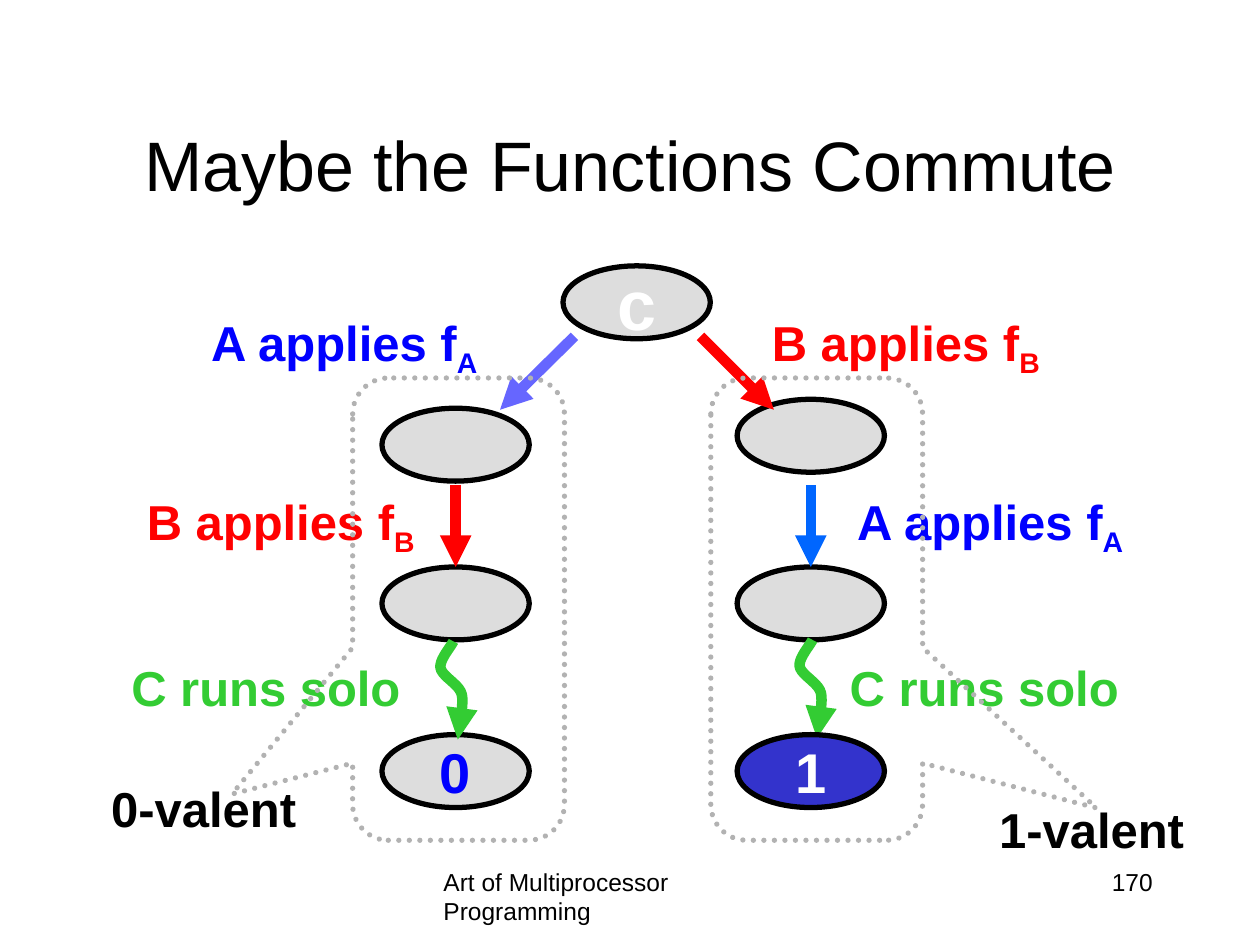
"""Build a slide comparing two commuting schedules of function applications."""
from dataclasses import dataclass

import pptx
import pptx.dml.color
import pptx.enum.dml
import pptx.enum.shapes
import pptx.enum.text
import pptx.oxml
import pptx.util
from pptx.oxml.ns import qn

Cm = pptx.util.Cm
Pt = pptx.util.Pt
ALIGN = pptx.enum.text.PP_ALIGN
ANCHOR = pptx.enum.text.MSO_ANCHOR
SHAPE = pptx.enum.shapes.MSO_SHAPE

BLACK, WHITE, GREY, DOTS = "000000", "FFFFFF", "DDDDDD", "B2B2B2"
BLUE, RED, GREEN = "0000FF", "FF0000", "33CC33"
NODE_WIDTH, NODE_HEIGHT = 2.97, 1.47
LEFT_X, RIGHT_X = 7.7, 14.86
MIDDLE_Y, LEAF_Y = 11.43, 14.81
SQUIGGLE = (
    ((0, 0), (-0.04, 0.1), (-0.28, 0.36), (-0.26, 0.53)),
    ((-0.26, 0.53), (-0.23, 0.71), (0.12, 0.86), (0.17, 1.07)),
    ((0.17, 1.07), (0.22, 1.27), (0.1, 1.8), (0.09, 1.98)),
)
CURVE_STEPS = 10


@dataclass(frozen=True)
class Node:
    left: float
    top: float
    text: str = ""
    size: int = 32
    ink: str = WHITE
    fill: str = GREY


@dataclass(frozen=True)
class Label:
    left: float
    top: float
    text: str
    color: str
    subscript: str = ""
    width: float = 7.52


@dataclass(frozen=True)
class Callout:
    left: float
    tip_x: float
    tip_y: float


ROOT = Node(11.35, 5.36, "c", 40)
LEFT_FIRST, RIGHT_FIRST = Node(LEFT_X, 8.23), Node(RIGHT_X, 8.05)
LEFT_SECOND, RIGHT_SECOND = Node(LEFT_X, MIDDLE_Y), Node(RIGHT_X, MIDDLE_Y)
LEAVES = (
    Node(LEFT_X, LEAF_Y, "0", ink=BLUE),
    Node(RIGHT_X, LEAF_Y, "1", fill="3333CC"),
)
LABELS = (
    Label(3.18, 6.17, "A applies f", BLUE, "A"),
    Label(14.5, 6.17, "B applies f", RED, "B"),
    Label(1.9, 9.78, "B applies f", RED, "B"),
    Label(16.2, 9.78, "A applies f", BLUE, "A"),
    Label(1.6, 13.13, "C runs solo", GREEN),
    Label(16.08, 13.13, "C runs solo", GREEN),
    Label(1.12, 15.57, "0-valent", BLACK, width=5.97),
    Label(19.02, 16, "1-valent", BLACK, width=5.97),
)
CALLOUTS = (Callout(7.11, -1.07, 0.4), Callout(14.33, 1.32, 0.43))


def paint(target, color: str) -> None:
    """Give a font or a line a solid colour."""
    target.fill.solid()
    target.fill.fore_color.rgb = pptx.dml.color.RGBColor.from_string(color)


def write(frame, text: str, *, size: float, color: str = BLACK, bold: bool = False,
          align=ALIGN.LEFT, anchor=ANCHOR.TOP, wrap: bool = True, subscript: str = "") -> None:
    """Fill a text frame with one formatted paragraph."""
    frame.word_wrap = wrap
    frame.vertical_anchor = anchor
    para = frame.paragraphs[0]
    para.alignment = align
    for content, offset in ((text, None), (subscript, "-25000")):
        if content:
            span = para.add_run()
            span.text = content
            span.font.name, span.font.size, span.font.bold = "Arial", Pt(size), bold
            paint(span.font, color)
            if offset:
                span.font._element.set("baseline", offset)


def add_text(page, left: float, top: float, width: float, height: float, text: str, **style) -> None:
    """Place a text box."""
    box = page.shapes.add_textbox(Cm(left), Cm(top), Cm(width), Cm(height))
    write(box.text_frame, text, **style)


def add_label(page, label: Label) -> None:
    """Place a bold step label."""
    add_text(page, label.left, label.top, label.width, 1.45, label.text, size=28,
             color=label.color, bold=True, align=ALIGN.CENTER, subscript=label.subscript)


def add_node(page, node: Node):
    """Draw a state as an outlined ellipse."""
    oval = page.shapes.add_shape(SHAPE.OVAL, Cm(node.left), Cm(node.top),
                                 Cm(NODE_WIDTH), Cm(NODE_HEIGHT))
    oval.shadow.inherit = False
    paint(oval, node.fill)
    paint(oval.line, BLACK)
    oval.line.width = Pt(3)
    if node.text:
        write(oval.text_frame, node.text, size=node.size, color=node.ink, bold=True,
              align=ALIGN.CENTER, anchor=ANCHOR.MIDDLE, wrap=False)
    return oval


def add_arrowhead(line, color: str) -> None:
    """Style a line as a thick arrow."""
    paint(line, color)
    line.width = Pt(6)
    head = line._get_or_add_ln().makeelement(qn("a:tailEnd"), {"type": "triangle"})
    line._get_or_add_ln().append(head)


def add_arrow(page, start: tuple[float, float], end: tuple[float, float], color: str):
    """Draw a straight arrow."""
    arrow = page.shapes.add_connector(pptx.enum.shapes.MSO_CONNECTOR.STRAIGHT,
                                      *(Cm(value) for value in start + end))
    add_arrowhead(arrow.line, color)
    properties = arrow._element.spPr
    properties.append(properties.makeelement(qn("a:effectLst"), {}))
    return arrow


def bezier(points, t: float) -> tuple[float, float]:
    """Return the point of a cubic curve at parameter t."""
    weights = ((1 - t) ** 3, 3 * t * (1 - t) ** 2, 3 * t * t * (1 - t), t ** 3)
    x, y = (sum(w * p[axis] for w, p in zip(weights, points)) for axis in (0, 1))
    return x, y


def add_squiggle(page, x: float, y: float) -> None:
    """Draw a wavy arrow starting at a point."""
    curve = [bezier(part, step / CURVE_STEPS)
             for part in SQUIGGLE for step in range(1, CURVE_STEPS + 1)]
    builder = page.shapes.build_freeform(Cm(x), Cm(y))
    builder.add_line_segments([(Cm(x + dx), Cm(y + dy)) for dx, dy in curve], close=False)
    wave = builder.convert_to_shape()
    wave.shadow.inherit = False
    wave.fill.background()
    add_arrowhead(wave.line, GREEN)


def add_callout(page, callout: Callout) -> None:
    """Draw a dotted speech outline around one schedule."""
    outline = page.shapes.add_shape(SHAPE.ROUNDED_RECTANGULAR_CALLOUT, Cm(callout.left),
                                    Cm(7.62), Cm(4.27), Cm(9.32))
    for index, value in enumerate((callout.tip_x, callout.tip_y, 0.17)):
        outline.adjustments[index] = value
    outline.shadow.inherit = False
    outline.fill.background()
    paint(outline.line, DOTS)
    outline.line.width = Pt(3)
    outline.line.dash_style = pptx.enum.dml.MSO_LINE.ROUND_DOT
    outline.line._get_or_add_ln().set("cap", "rnd")


def main() -> None:
    """Compose and save the slide."""
    deck = pptx.Presentation()
    deck.slide_width, deck.slide_height = Cm(25.4), Cm(19.05)
    page = deck.slides.add_slide(deck.slide_layouts[6])
    add_text(page, 8.69, 17.35, 8.05, 1.27, "Art of Multiprocessor Programming", size=14)
    add_text(page, 18.21, 17.35, 5.28, 1.27, "170", size=14, align=ALIGN.RIGHT)
    add_text(page, 1.9, 1.7, 21.6, 3.18, "Maybe the Functions Commute", size=40,
             align=ALIGN.CENTER, anchor=ANCHOR.MIDDLE)
    for node in (ROOT, LEFT_FIRST, RIGHT_FIRST):
        add_node(page, node)
    add_arrow(page, (11.58, 6.78), (10.08, 8.26), "6666FF")
    add_arrow(page, (14.12, 6.78), (15.6, 8.26), RED)
    for node, color in ((LEFT_SECOND, RED), (RIGHT_SECOND, "0066FF")):
        oval = add_node(page, node)
        x = node.left + NODE_WIDTH / 2
        add_arrow(page, (x, 9.78), (x, node.top), color).end_connect(oval, 0)
    add_squiggle(page, 16.38, 12.9)
    for leaf in LEAVES:
        add_node(page, leaf)
    for label in LABELS:
        add_label(page, label)
    for callout in CALLOUTS:
        add_callout(page, callout)
    add_squiggle(page, 9.14, 12.93)
    deck.save("out.pptx")


if __name__ == "__main__":
    main()
